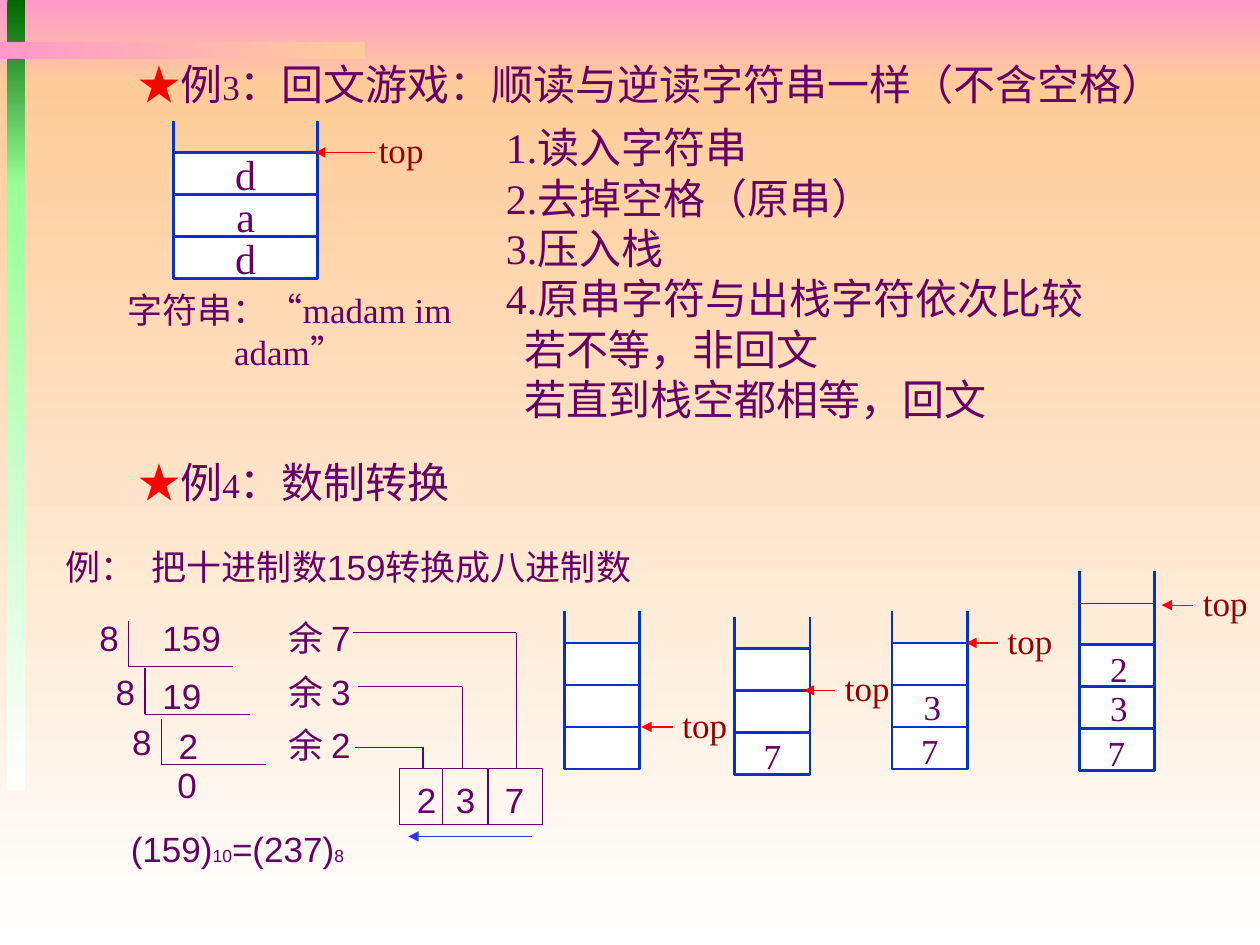
import pptx
import pptx.dml.color
import pptx.enum.shapes
import pptx.enum.text
import pptx.oxml.ns
import pptx.util
from lxml import etree

Pt = pptx.util.Pt
RGBColor = pptx.dml.color.RGBColor
ALIGN = pptx.enum.text.PP_ALIGN
ANCHOR = pptx.enum.text.MSO_ANCHOR
RECTANGLE = pptx.enum.shapes.MSO_SHAPE.RECTANGLE
STRAIGHT = pptx.enum.shapes.MSO_CONNECTOR.STRAIGHT
qn = pptx.oxml.ns.qn

PURPLE = RGBColor(0x66, 0x00, 0x66)
DARK_RED = RGBColor(0x99, 0x00, 0x00)
RED = RGBColor(0xFF, 0x00, 0x00)
STACK_BLUE = RGBColor(0x00, 0x33, 0xCC)
ARROW_BLUE = RGBColor(0x33, 0x33, 0xFF)
WHITE = RGBColor(0xFF, 0xFF, 0xFF)
PINK = RGBColor(0xFF, 0x99, 0xCC)
PEACH = RGBColor(0xFF, 0xCC, 0x99)
GREEN = RGBColor(0x00, 0x66, 0x00)
LIGHT_GREEN = RGBColor(0x99, 0xFF, 0x99)
SERIF = "Times New Roman"
SANS = "Arial"
CELL_HEIGHT = 24
LABEL_HEIGHT = 31.5


def write(paragraph, text, size=20, font=SANS, color=PURPLE):
    run = paragraph.add_run()
    run.text = text
    run.font.size = Pt(size)
    run.font.name = font
    run.font.color.rgb = color


def text_area(slide, left, top, width, height=LABEL_HEIGHT, wrap=False, anchor=ANCHOR.TOP):
    frame = slide.shapes.add_textbox(Pt(left), Pt(top), Pt(width), Pt(height)).text_frame
    frame.word_wrap = wrap
    frame.vertical_anchor = anchor
    if not wrap:
        frame.margin_right = Pt(0)
        if anchor == ANCHOR.MIDDLE:
            frame.margin_left = Pt(0)
    return frame


def label(slide, text, left, top, width, align=ALIGN.LEFT, wrap=False, tabs=(), **style):
    anchor = ANCHOR.MIDDLE if align == ALIGN.CENTER else ANCHOR.TOP
    paragraph = text_area(slide, left, top, width, wrap=wrap, anchor=anchor).paragraphs[0]
    paragraph.alignment = align
    if tabs:
        stops = etree.SubElement(paragraph._p.get_or_add_pPr(), qn("a:tabLst"))
        for position in tabs:
            etree.SubElement(stops, qn("a:tab"), pos=str(Pt(position)), algn="l")
    write(paragraph, text, **style)


def box(slide, left, top, width, height):
    shape = slide.shapes.add_shape(RECTANGLE, Pt(left), Pt(top), Pt(width), Pt(height))
    shape.shadow.inherit = False
    return shape


def band(slide, left, top, width, height, start, end, angle=270):
    shape = box(slide, left, top, width, height)
    shape.line.fill.background()
    shape.fill.gradient()
    shape.fill.gradient_angle = angle
    for stop, color in zip(shape.fill.gradient_stops, (start, end)):
        stop.color.rgb = color


def line(slide, x1, y1, x2, y2, color=PURPLE, width=0.75, arrow=False):
    connector = slide.shapes.add_connector(STRAIGHT, Pt(x1), Pt(y1), Pt(x2), Pt(y2))
    connector.line.color.rgb = color
    connector.line.width = Pt(width)
    if arrow:
        etree.SubElement(connector.line._get_or_add_ln(), qn("a:tailEnd"), type="triangle")
    etree.SubElement(connector._element.spPr, qn("a:effectLst"))


def stack(slide, left, wall_top, bottom, width, letters=("", "", "")):
    for wall in (left, left + width):
        line(slide, wall, bottom, wall, wall_top, STACK_BLUE, 1.5)
    for level, letter in enumerate(letters, start=1):
        cell = box(slide, left, bottom - level * CELL_HEIGHT, width, CELL_HEIGHT)
        cell.fill.solid()
        cell.fill.fore_color.rgb = WHITE
        cell.line.color.rgb = STACK_BLUE
        cell.line.width = Pt(1.5)
        if letter:
            cell.text_frame.word_wrap = False
            cell.text_frame.vertical_anchor = ANCHOR.MIDDLE
            paragraph = cell.text_frame.paragraphs[0]
            paragraph.alignment = ALIGN.CENTER
            write(paragraph, letter, size=24, font=SERIF)


def top_pointer(slide, label_left, y, tail=1.4, reach=16.6):
    line(slide, label_left + tail, y, label_left - reach, y, RED, arrow=True)
    label(slide, "top", label_left, y - 17.2, 39.5, ALIGN.CENTER, font=SERIF, color=DARK_RED)


def heading(slide, top, number, title):
    paragraph = text_area(slide, 0, top, 700.5, 43, wrap=True).paragraphs[0]
    paragraph.space_before = Pt(6)
    properties = paragraph._p.get_or_add_pPr()
    properties.set("marL", str(Pt(90)))
    properties.set("indent", str(Pt(-18)))
    write(paragraph, "★", size=24, color=RED)
    write(paragraph, "例", size=24)
    write(paragraph, number, font=SERIF)
    write(paragraph, "：" + title, size=24)


def background(slide):
    band(slide, 0, 0, 720, 48, PINK, PEACH)
    band(slide, 0, 48, 720, 492, PEACH, WHITE)
    band(slide, 4.2, 0, 10.2, 106.5, GREEN, LIGHT_GREEN)
    band(slide, 4.2, 105, 10.2, 346.5, LIGHT_GREEN, WHITE)
    band(slide, 0, 24, 208.5, 10, PINK, PEACH, angle=0)


def palindrome(slide):
    heading(slide, 30, "3", "回文游戏：顺读与逆读字符串一样（不含空格）")
    stack(slide, 99.3, 69, 159, 82.2, "dad")
    top_pointer(slide, 209.5, 87.1, tail=5, reach=29.5)
    steps = text_area(slide, 282, 66, 350, 180, wrap=True, anchor=ANCHOR.MIDDLE)
    lines = [("1.读入字符串", 0), ("2.去掉空格（原串）", 0), ("3.压入栈", 0),
             ("4.原串字符与出栈字符依次比较", 0),
             ("若不等，非回文", 10.5), ("若直到栈空都相等，回文", 10.5)]
    for index, (step, indent) in enumerate(lines):
        paragraph = steps.add_paragraph() if index else steps.paragraphs[0]
        paragraph._p.get_or_add_pPr().set("marL", str(Pt(indent)))
        write(paragraph, step, size=24, font=SERIF)
    label(slide, "字符串：“madam im adam”", 35, 173, 261, ALIGN.CENTER, wrap=True, font=SERIF)


def division(slide):
    heading(slide, 257.5, "4", "数制转换")
    label(slide, "例：\t把十进制数159转换成八进制数", 30.2, 308.2, 347, tabs=[49.5])
    rows = [("159", 85.7, 348.5, 47.5, 348.5, 355, 381, "7", 348.5),
            ("19", 85.7, 381.6, 36.7, 379.4, 382, 408.2, "3", 379.4),
            ("2", 95, 410.4, 25.2, 408.2, 410.6, 437, "2", 409.7)]
    for index, row in enumerate(rows):
        (dividend, left, top, width, divisor_top, bracket_top, bracket_bottom,
         remainder, remainder_top) = row
        bracket = 73.5 + 9.35 * index
        line(slide, bracket, bracket_top, bracket, bracket_bottom)
        line(slide, bracket, bracket_bottom, bracket + 59.8, bracket_bottom)
        label(slide, dividend, left, top, width)
        label(slide, "8", bracket - 23.8, divisor_top, 25.2)
        label(slide, "余 " + remainder, 157.7, remainder_top, 54.7)
    label(slide, "0", 94.3, 432.7, 25.2)

    result = text_area(slide, 67.7, 469.4, 136).paragraphs[0]
    for part, size in (("(159)", 20), ("10", 10), ("=(237)", 20), ("8", 10)):
        write(result, part, size=size)


def octal_digits(slide):
    label(slide, "2\t3\t7", 231.1, 441.4, 86.4, wrap=True, tabs=[22.3, 50.3])
    line(slide, 303.8, 478, 233.3, 478, ARROW_BLUE, arrow=True)
    digits = box(slide, 228.2, 439.3, 82, 32)
    digits.fill.background()
    digits.line.color.rgb = PURPLE
    digits.line.width = Pt(0.75)
    for divider in (252.9, 278.8):
        line(slide, divider, 439.3, divider, 471.3)
    for start, y, end in ((203, 427, 241.7), (201.6, 361.6, 295), (204.5, 392.3, 264.2)):
        line(slide, start, y, end, y)
        line(slide, end, y, end, 439.3)


def conversion_stacks(slide):
    stacks = [(322.5, 349.4, 439.4, 383, 415.4, []),
              (419.8, 352.7, 442.5, 475.9, 394.5, [("7", 429.1, 416.2)]),
              (509.8, 349.4, 439.4, 568.8, 367.4, [("7", 519.1, 413.3), ("3", 520.6, 388.1)]),
              (616.8, 326.3, 440.4, 680.4, 345.8,
               [("7", 625.7, 414), ("3", 627.1, 388.8), ("2", 627.1, 366.5)])]
    for left, wall_top, bottom, pointer_left, pointer_y, digits in stacks:
        stack(slide, left, wall_top, bottom, 43)
        top_pointer(slide, pointer_left, pointer_y)
        for digit, digit_left, digit_top in digits:
            label(slide, digit, digit_left, digit_top, 24.5, ALIGN.CENTER, font=SERIF)
    line(slide, 616.8, 344.9, 660, 344.9, STACK_BLUE)


def main():
    deck = pptx.Presentation()
    deck.slide_width, deck.slide_height = Pt(720), Pt(540)
    slide = deck.slides.add_slide(deck.slide_layouts[6])
    background(slide)
    palindrome(slide)
    division(slide)
    octal_digits(slide)
    conversion_stacks(slide)
    deck.save("out.pptx")


if __name__ == "__main__":
    main()
